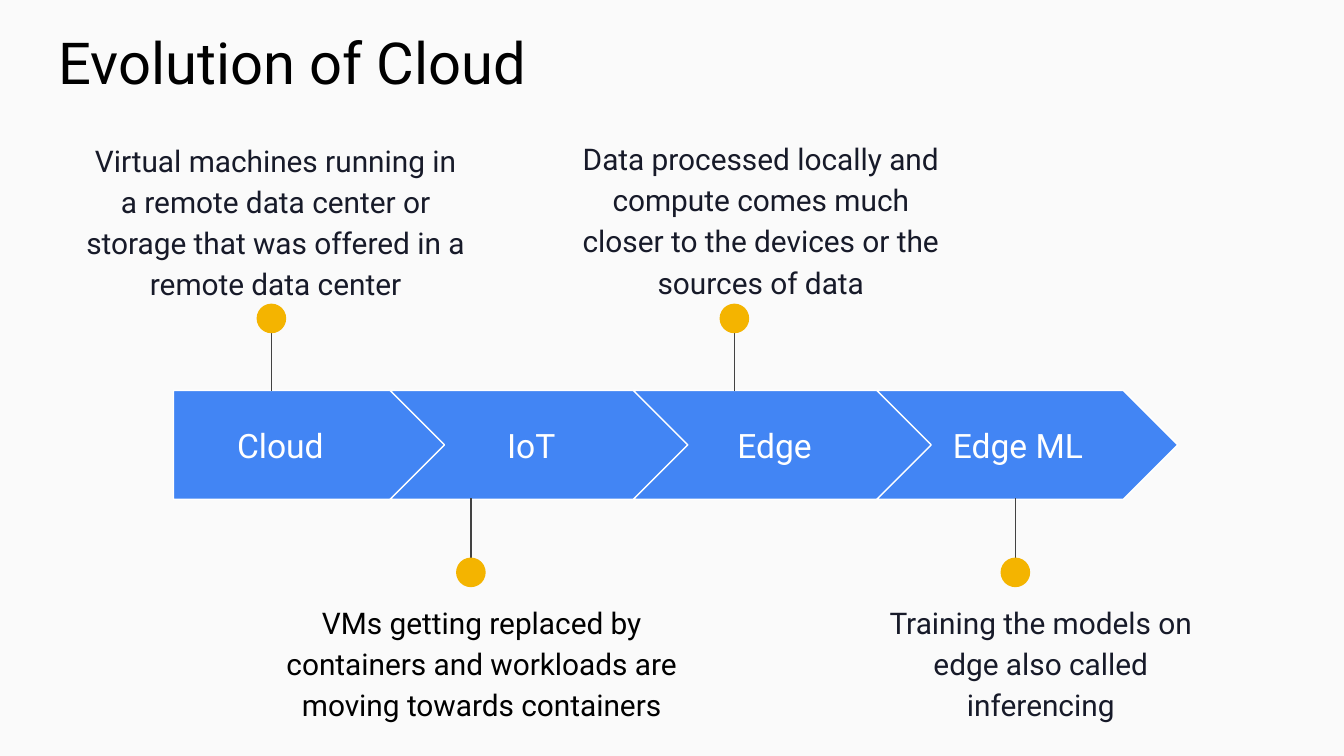
from dataclasses import dataclass

from pptx import Presentation
from pptx.dml.color import RGBColor
from pptx.enum.shapes import MSO_CONNECTOR as LINE, MSO_SHAPE as SHAPE
from pptx.enum.text import MSO_ANCHOR as ANCHOR, PP_ALIGN as ALIGN
from pptx.oxml.ns import qn
from pptx.util import Cm, Pt


@dataclass(frozen=True)
class Theme:
    font: str = "Roboto"
    background: str = "FAFAFA"
    arrow: str = "4285F4"
    white: str = "FFFFFF"
    stem: str = "424242"
    dot: str = "F4B400"
    ink: str = "171A29"
    black: str = "000000"
    title_size: int = 31
    label_size: int = 18
    note_size: int = 16
    line_width: float = 0.75


def rgb(value):
    return RGBColor.from_string(value)


def apply(obj, values):
    for name, value in values.items():
        setattr(obj, name, value)


class SlideBuilder:
    def __init__(self, slide, theme):
        self.slide, self.theme = slide, theme
        fill = slide.background.fill
        fill.solid()
        fill.fore_color.rgb = rgb(theme.background)

    def shape(self, kind, box, fill, line=None):
        sp = self.slide.shapes.add_shape(kind, *map(Cm, box))
        sp.shadow.inherit = False
        sp.fill.solid()
        sp.fill.fore_color.rgb = rgb(fill)
        if line:
            sp.line.color.rgb = rgb(line)
            sp.line.width = Pt(self.theme.line_width)
        else:
            sp.line.fill.background()
        return sp

    def text(self, box, words, size, color, anchor=ANCHOR.TOP, **paragraph):
        tf = self.slide.shapes.add_textbox(*map(Cm, box)).text_frame
        inset = Cm(0.25)
        apply(tf, dict(word_wrap=True, vertical_anchor=anchor,
                       margin_left=inset, margin_right=inset,
                       margin_top=inset, margin_bottom=inset))
        p = tf.paragraphs[0]
        apply(p, paragraph)
        r = p.add_run()
        r.text = words
        apply(r.font, dict(name=self.theme.font, size=Pt(size)))
        r.font.color.rgb = rgb(color)

    def pin(self, x, start, end, dot_top):
        """Draw a vertical stem with a round dot centred on it."""
        cx = self.slide.shapes.add_connector(
            LINE.STRAIGHT, Cm(x), Cm(start), Cm(x), Cm(end))
        cx.line.color.rgb = rgb(self.theme.stem)
        cx.line.width = Pt(self.theme.line_width)
        sp_pr = cx._element.spPr
        sp_pr.append(sp_pr.makeelement(qn("a:effectLst"), {}))
        d = 0.56
        self.shape(SHAPE.OVAL, (x - d / 2, dot_top, d, d), self.theme.dot)

    def label(self, box, words):
        t = self.theme
        self.text(box, words, t.label_size, t.white, ANCHOR.MIDDLE,
                  alignment=ALIGN.CENTER)

    def note(self, box, words, color):
        self.text(box, words, self.theme.note_size, color,
                  alignment=ALIGN.CENTER, line_spacing=1.15,
                  space_after=Pt(16))


def main():
    prs = Presentation()
    prs.slide_width, prs.slide_height = Cm(25.4), Cm(14.29)
    theme = Theme()
    s = SlideBuilder(prs.slides.add_slide(prs.slide_layouts[6]), theme)

    arrow_top, arrow_height = 7.38, 2.06
    label_top, label_height = 7.77, 1.3
    chevron_left, chevron_step = 7.37, 4.6
    pin_up, pin_down = (5.84, 7.39, 5.74), (10.97, 9.42, 10.54)

    # name, pin x, pin, note box, note colour, note
    stages = [
        ("Cloud", 5.13, pin_up, (1.35, 2.34, 7.72, 3.89), theme.ink,
         "Virtual machines running in a remote data center or storage "
         "that was offered in a remote data center"),
        ("IoT", 8.9, pin_down, (4.85, 11.07, 8.51, 2.51), theme.black,
         "VMs getting replaced by containers and workloads are moving "
         "towards containers"),
        ("Edge", 13.88, pin_up, (10.67, 2.31, 7.42, 2.51), theme.ink,
         "Data processed locally and compute comes much closer to the "
         "devices or the sources of data"),
        ("Edge ML", 19.19, pin_down, (16.56, 11.07, 6.22, 2.51), theme.ink,
         "Training the models on edge also called inferencing"),
    ]
    for i, (name, x, pin, note_box, color, note) in enumerate(stages):
        if i == 0:
            kind, left, width = SHAPE.PENTAGON, 3.28, 5.21
            label_left, label_width = left, 4.04
        else:
            kind, width = SHAPE.CHEVRON, 5.69
            left = chevron_left + (i - 1) * chevron_step
            label_left, label_width = left + 0.84, 3.66
        s.shape(kind, (left, arrow_top, width, arrow_height),
                theme.arrow, theme.white)
        s.label((label_left, label_top, label_width, label_height), name)
        s.pin(x, *pin)
        s.note(note_box, note, color)

    s.text((0.86, 0.46, 23.67, 1.6), "Evolution of Cloud",
           theme.title_size, theme.black, ANCHOR.BOTTOM)
    prs.save("out.pptx")


if __name__ == "__main__":
    main()
